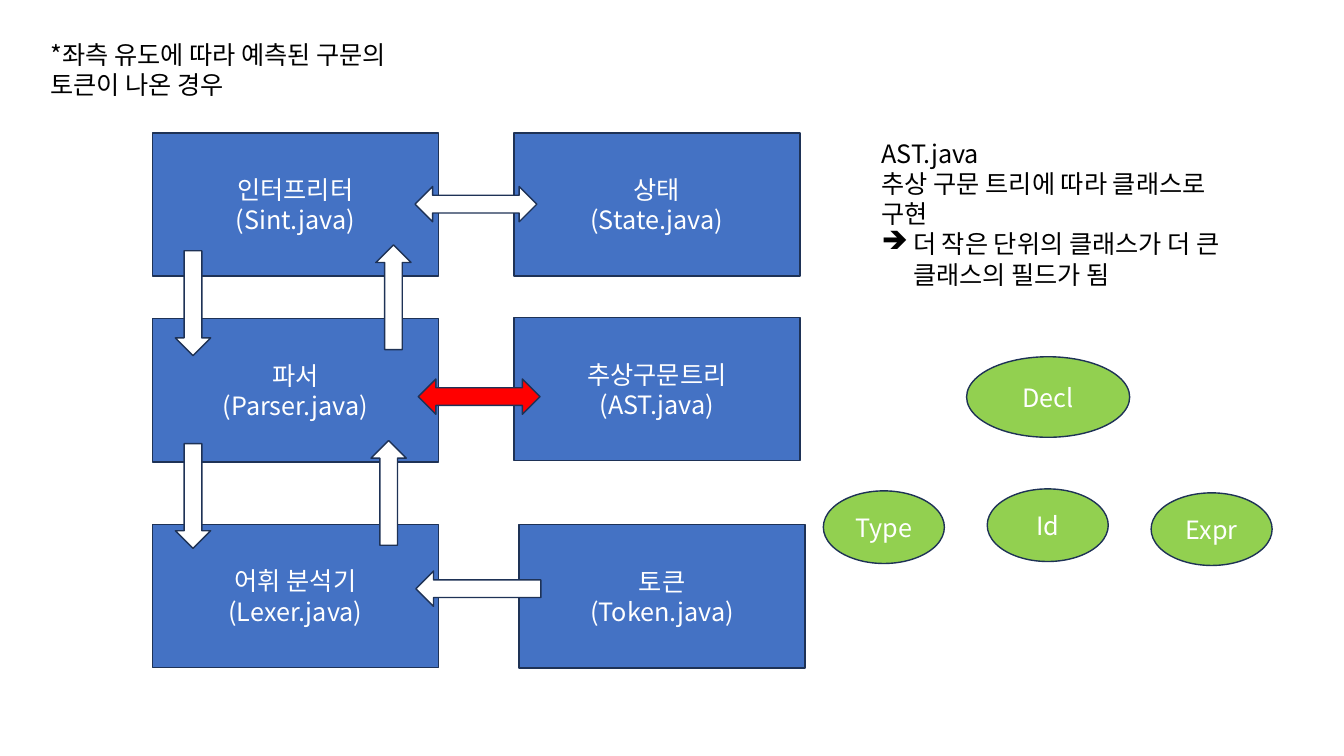
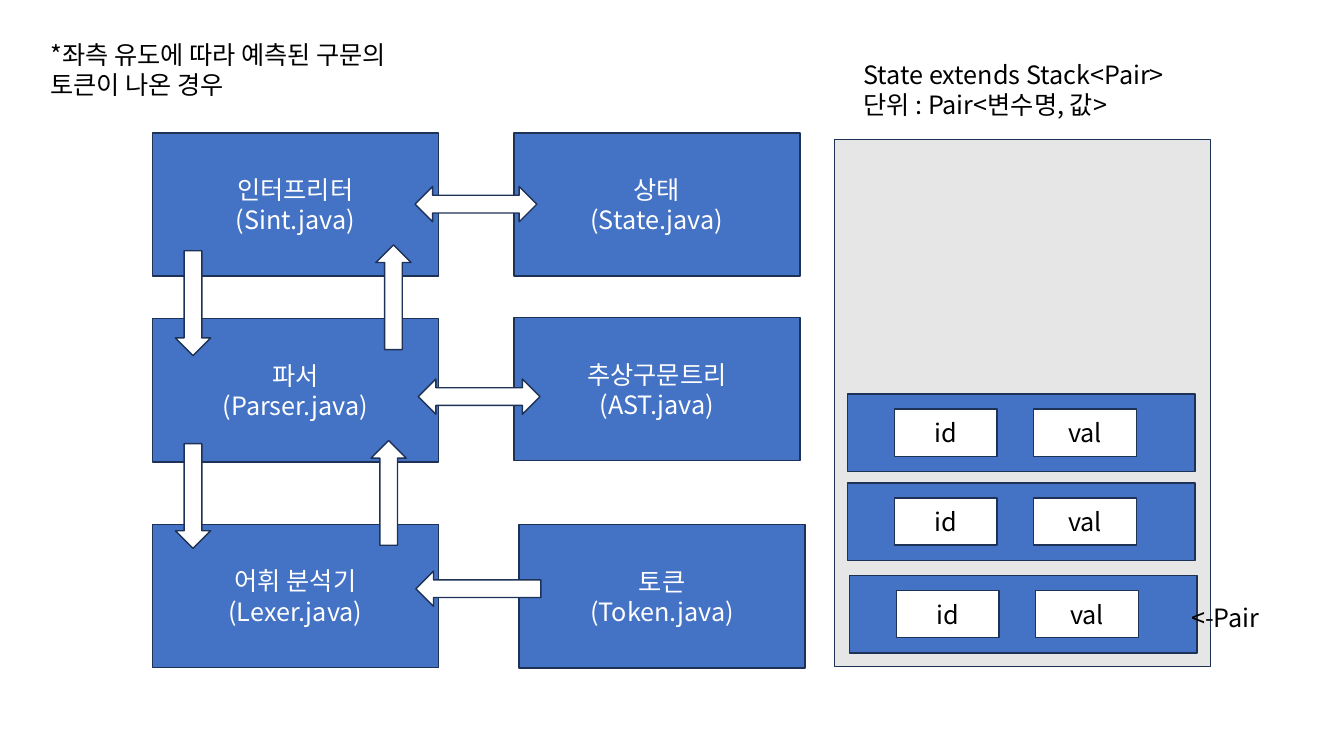
import pptx
import pptx.util
import pptx.dml.color
import pptx.enum.shapes
import pptx.enum.text
import pptx.oxml.ns
from dataclasses import dataclass
from lxml import etree

Cm = pptx.util.Cm
Pt = pptx.util.Pt
KIND = pptx.enum.shapes.MSO_SHAPE


@dataclass(frozen=True)
class Theme:
    blue: str = "4472C4"
    edge: str = "1E3256"
    white: str = "FFFFFF"
    black: str = "000000"
    red: str = "FF0000"
    green: str = "92D050"
    gray: str = "E7E6E6"
    font: str = "Noto Sans CJK KR"
    size: int = 18
    line: int = 1


THEME = Theme()


def color(code):
    return pptx.dml.color.RGBColor.from_string(code)


def write(frame, lines, ink, align=None):
    frame.word_wrap = True
    frame.text = "\n".join(lines)
    for para in frame.paragraphs:
        para.alignment = align
        para.font.name = THEME.font
        para.font.size = Pt(THEME.size)
        para.font.color.rgb = color(ink)
        base = para._p.pPr.get_or_add_defRPr()
        east = etree.SubElement(base, pptx.oxml.ns.qn("a:ea"))
        east.set("typeface", THEME.font)


def bullet(para, mark, indent):
    props = para._p.get_or_add_pPr()
    props.set("marL", str(indent))
    props.set("indent", str(-indent))
    char = etree.Element(pptx.oxml.ns.qn("a:buChar"))
    char.set("char", mark)
    props.insert(0, char)


def note(slide, x, y, w, h, *lines):
    box = slide.shapes.add_textbox(Cm(x), Cm(y), Cm(w), Cm(h))
    write(box.text_frame, lines, THEME.black)
    box.text_frame.auto_size = pptx.enum.text.MSO_AUTO_SIZE.SHAPE_TO_FIT_TEXT
    return box


def block(slide, kind, x, y, w, h, fill, lines=(), ink=THEME.white):
    shape = slide.shapes.add_shape(kind, Cm(x), Cm(y), Cm(w), Cm(h))
    shape.shadow.inherit = False
    shape.fill.solid()
    shape.fill.fore_color.rgb = color(fill)
    shape.line.color.rgb = color(THEME.edge)
    shape.line.width = Pt(THEME.line)
    if lines:
        shape.text_frame.vertical_anchor = pptx.enum.text.MSO_ANCHOR.MIDDLE
        write(shape.text_frame, lines, ink, pptx.enum.text.PP_ALIGN.CENTER)
    return shape


def arrow(slide, x, y, size=2.64, turn=0):
    shape = block(slide, KIND.DOWN_ARROW, x, y, 0.89, size, THEME.white)
    shape.rotation = turn


def link(slide, x, y, fill):
    block(slide, KIND.LEFT_RIGHT_ARROW, x, y, 3.07, 0.89, fill)


def flow(slide, tree):
    parts = (
        (3.84, 3.35, "인터프리터", "Sint"),
        (12.95, 3.35, "상태", "State"),
        (3.84, 8.03, "파서", "Parser"),
        (12.95, 8.0, "추상구문트리", "AST"),
        (3.84, 13.21, "어휘 분석기", "Lexer"),
        (13.08, 13.22, "토큰", "Token"),
    )
    for x, y, name, file in parts:
        lines = (name, f"({file}.java)")
        block(slide, KIND.RECTANGLE, x, y, 7.21, 3.61, THEME.blue, lines)
    for y in (6.32, 11.18):
        arrow(slide, 4.42, y)
    for x, y in ((9.47, 6.17), (9.35, 11.1)):
        arrow(slide, x, y, turn=180)
    arrow(slide, 11.61, 13.26, 3.15, 90)
    link(slide, 10.46, 4.7, THEME.white)
    link(slide, 10.54, 9.55, tree)
    note(slide, 1.02, 0.86, 10.03, 1.8,
         "*좌측 유도에 따라 예측된 구문의 토큰이 나온 경우")


def nodes(slide):
    text = note(slide, 21.97, 3.35, 9.37, 4.88,
                "AST.java", "추상 구문 트리에 따라 클래스로 구현",
                "더 작은 단위의 클래스가 더 큰 클래스의 필드가 됨")
    bullet(text.text_frame.paragraphs[-1], "➔", Cm(0.79))
    block(slide, KIND.OVAL, 24.36, 8.99, 4.11, 2.03, THEME.green, ["Decl"])
    leaves = (("Type", 12.37), ("Id", 12.32), ("Expr", 12.42))
    for col, (name, y) in enumerate(leaves):
        block(slide, KIND.OVAL, 20.75 + 4.13 * col, y, 3.05, 1.83,
              THEME.green, [name])


def stack(slide):
    note(slide, 21.51, 1.37, 8.64, 1.8,
         "State extends Stack<Pair>", "단위 : Pair<변수명, 값>")
    block(slide, KIND.RECTANGLE, 21.03, 3.51, 9.47, 13.28, THEME.gray)
    for x, y in ((21.41, 14.5), (21.36, 12.17), (21.36, 9.93)):
        block(slide, KIND.RECTANGLE, x, y, 8.76, 1.96, THEME.blue)
        for col, name in enumerate(("id", "val")):
            block(slide, KIND.RECTANGLE, x + 1.18 + 3.51 * col, y + 0.38,
                  2.59, 1.19, THEME.white, [name], THEME.black)
    note(slide, 29.77, 15.06, 3.3, 1.02, "<-Pair")


def main():
    deck = pptx.Presentation()
    deck.slide_width, deck.slide_height = Cm(33.87), Cm(19.05)
    for tree, side in ((THEME.red, nodes), (THEME.white, stack)):
        slide = deck.slides.add_slide(deck.slide_layouts[6])
        flow(slide, tree)
        side(slide)
    deck.save("out.pptx")


main()
